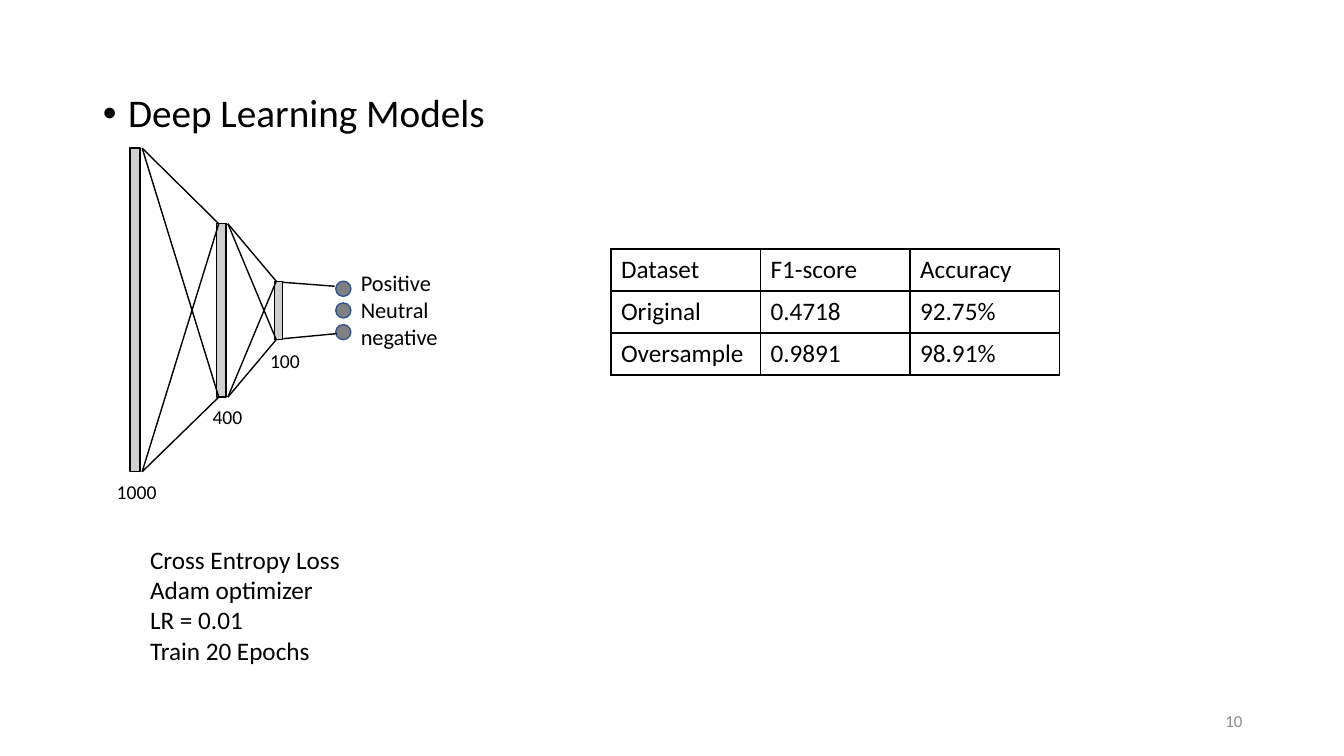
from itertools import pairwise, product

from lxml.etree import SubElement
from pptx import Presentation
from pptx.dml.color import RGBColor
from pptx.enum.shapes import MSO_CONNECTOR, MSO_SHAPE
from pptx.enum.text import MSO_ANCHOR, PP_ALIGN
from pptx.oxml.ns import qn
from pptx.util import Inches, Pt

BLACK = RGBColor(0x00, 0x00, 0x00)
WHITE = RGBColor(0xFF, 0xFF, 0xFF)
SILVER = RGBColor(0xD0, 0xCE, 0xCE)
GRAY = RGBColor(0x80, 0x80, 0x80)
BLUE = RGBColor(0x32, 0x54, 0x91)
PALE = RGBColor(0x8C, 0x8C, 0x8C)


def write(frame, text, size=18, color=BLACK, align=PP_ALIGN.LEFT, anchor=MSO_ANCHOR.TOP):
    frame.word_wrap = True
    frame.vertical_anchor = anchor
    frame.text = text
    for para in frame.paragraphs:
        para.alignment = align
        for run in para.runs:
            run.font.name = "Calibri"
            run.font.size = Pt(size)
            run.font.color.rgb = color


class Sketch:
    def __init__(self, slide, stroke=1):
        self.slide = slide
        self.stroke = Pt(stroke)

    def head(self, box, text):
        self.slide.shapes.title.element.getparent().remove(self.slide.shapes.title.element)
        body = self.slide.placeholders[1]
        body.left, body.top, body.width, body.height = map(Inches, box)
        write(body.text_frame, text, size=28)
        para = body.text_frame.paragraphs[0]
        para.line_spacing = 0.9
        para.space_before = Pt(10)
        props = para._p.get_or_add_pPr()
        props.set("marL", str(Inches(0.25)))
        props.set("indent", str(Inches(-0.25)))
        SubElement(props, qn("a:buFont")).set("typeface", "Arial")
        SubElement(props, qn("a:buChar")).set("char", "•")

    def text(self, box, text, **style):
        area = self.slide.shapes.add_textbox(*map(Inches, box))
        write(area.text_frame, text, **style)

    def shape(self, kind, box, fill, line):
        form = self.slide.shapes.add_shape(kind, *map(Inches, box))
        form.shadow.inherit = False
        form.fill.solid()
        form.fill.fore_color.rgb = fill
        form.line.color.rgb = line
        form.line.width = self.stroke

    def line(self, *ends):
        link = self.slide.shapes.add_connector(MSO_CONNECTOR.STRAIGHT, *map(Inches, ends))
        link.line.color.rgb = BLACK
        link.line.width = self.stroke
        SubElement(link._element.spPr, qn("a:effectLst"))

    def edge(self, cell):
        props = cell._tc.get_or_add_tcPr()
        for place, side in enumerate(("lnL", "lnR", "lnT", "lnB")):
            line = props.makeelement(qn(f"a:{side}"), {"w": str(self.stroke)})
            fill = SubElement(line, qn("a:solidFill"))
            SubElement(fill, qn("a:srgbClr")).set("val", str(BLACK))
            props.insert(place, line)

    def table(self, box, rows):
        grid = self.slide.shapes.add_table(len(rows), len(rows[0]), *map(Inches, box)).table
        grid.first_row = grid.horz_banding = False
        for r, row in enumerate(rows):
            for c, text in enumerate(row):
                cell = grid.cell(r, c)
                write(cell.text_frame, text)
                cell.fill.solid()
                cell.fill.fore_color.rgb = WHITE
                self.edge(cell)


def main():
    deck = Presentation()
    deck.slide_width, deck.slide_height = Inches(13.33), Inches(7.5)
    sketch = Sketch(deck.slides.add_slide(deck.slide_layouts[1]))
    sketch.head((0.92, 0.88, 11.5, 4.76), "Deep Learning Models")

    layers = [(1.29, 1.47, 0.1, 3.21), (2.15, 2.22, 0.09, 1.72), (2.72, 2.79, 0.08, 0.58)]
    for box in layers:
        sketch.shape(MSO_SHAPE.RECTANGLE, box, SILVER, BLACK)
    for i in range(3):
        sketch.shape(MSO_SHAPE.OVAL, (3.33, 2.79 + i * 0.215, 0.15, 0.15), GRAY, BLUE)

    gap = 0.02
    for (x, y, w, h), (x2, y2, _, h2) in pairwise(layers):
        for start, end in product((y, y + h), (y2, y2 + h2)):
            sketch.line(x + w + gap, start, x2 + gap, end)
    sketch.line(2.8, 2.8, 3.32, 2.84)
    sketch.line(2.81, 3.36, 3.34, 3.31)

    sketch.text((3.48, 2.62, 3, 0.91), "Positive\nNeutral\nnegative", size=16)
    for x, y, count in ((1.06, 4.71, "1000"), (2.01, 3.97, "400"), (2.58, 3.41, "100")):
        sketch.text((x, y, 1.14, 0.34), count, size=14)
    sketch.text((1.39, 5.35, 3, 1.31),
                "Cross Entropy Loss\nAdam optimizer\nLR = 0.01\nTrain 20 Epochs")
    sketch.table((6.06, 2.47, 4.45, 1.25), [
        ("Dataset", "F1-score", "Accuracy"),
        ("Original", "0.4718", "92.75%"),
        ("Oversample", "0.9891", "98.91%"),
    ])
    sketch.text((9.42, 6.95, 3, 0.4), "10", size=12, color=PALE,
                align=PP_ALIGN.RIGHT, anchor=MSO_ANCHOR.MIDDLE)
    deck.save("out.pptx")


if __name__ == "__main__":
    main()
